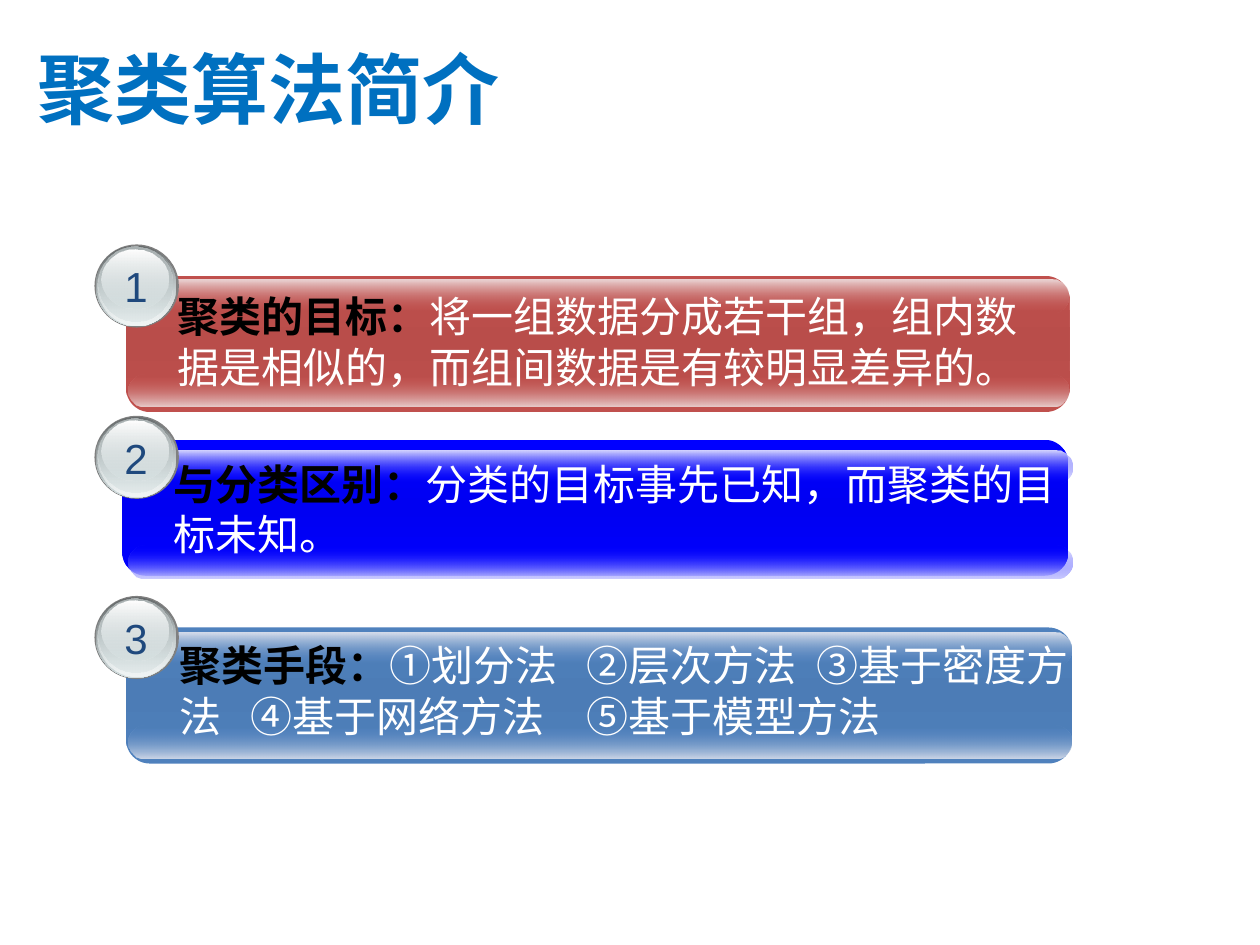
"""Build the slide that introduces clustering algorithms."""
from lxml import etree
from pptx import Presentation
from pptx.dml.color import RGBColor
from pptx.enum.shapes import MSO_SHAPE
from pptx.enum.text import MSO_ANCHOR, PP_ALIGN
from pptx.oxml.ns import qn
from pptx.util import Inches, Pt

ROUNDED = MSO_SHAPE.ROUNDED_RECTANGLE
OVAL = MSO_SHAPE.OVAL
MIDDLE = MSO_ANCHOR.MIDDLE
TOP = MSO_ANCHOR.TOP
CENTER = PP_ALIGN.CENTER
LEFT = PP_ALIGN.LEFT

TITLE_BLUE = RGBColor(0x00, 0x70, 0xC0)
NAVY = RGBColor(0x1F, 0x49, 0x7D)
BLACK = RGBColor(0x00, 0x00, 0x00)
WHITE = RGBColor(0xFF, 0xFF, 0xFF)
GRAY = RGBColor(0x80, 0x80, 0x80)
SLATE = RGBColor(0x63, 0x68, 0x69)
STEEL = RGBColor(0xAA, 0xB2, 0xB3)
SILVER = RGBColor(0xD6, 0xE1, 0xE2)
PEARL = RGBColor(0xF1, 0xF5, 0xF5)
RED = RGBColor(0xC0, 0x50, 0x4D)
RED_DARK = RGBColor(0xB9, 0x4D, 0x4A)
RED_TOP = RGBColor(0xEC, 0xD9, 0xD9)
RED_BASE = RGBColor(0xE8, 0xCF, 0xCE)
BLUE = RGBColor(0x00, 0x00, 0xFF)
BLUE_DARK = RGBColor(0x00, 0x00, 0xF2)
BLUE_TOP = RGBColor(0xD6, 0xD6, 0xFF)
BLUE_BASE = RGBColor(0xCA, 0xCA, 0xFF)
SKY = RGBColor(0x4F, 0x81, 0xBD)
SKY_DARK = RGBColor(0x4C, 0x7C, 0xB6)
SKY_TOP = RGBColor(0xD9, 0xDF, 0xEC)
SKY_BASE = RGBColor(0xCF, 0xD7, 0xE7)

BADGE_LEFT = 0.75
BADGE_LAYERS = (
    (0, 0, 0.67, 0.66, [(GRAY, 100)]),
    (0.01, 0.01, 0.64, 0.64, [(SLATE, 100), (SILVER, 100)]),
    (0.02, 0.01, 0.62, 0.63, [(SILVER, 0), (PEARL, 100)]),
    (0.03, 0.02, 0.59, 0.59, [(STEEL, 100), (SILVER, 48)]),
    (0.06, 0.04, 0.53, 0.47, [(WHITE, 100), (SILVER, 38)]),
)

ROWS = (
    {"band": (1, 2.19, 7.49), "gloss": (7.46, 2.22, 2.97), "badge_top": 1.94,
     "colors": (RED, RED_DARK, RED_TOP, RED_BASE),
     "text": (1.31, 2.26, 7.05), "tabs": (), "heading": "聚类的目标：",
     "body": "将一组数据分成若干组，组内数据是相似的，而组间数据是有较明显差异的。"},
    {"band": (0.97, 3.49, 7.51), "gloss": (7.49, 3.58, 4.33), "badge_top": 3.3,
     "colors": (BLUE, BLUE_DARK, BLUE_TOP, BLUE_BASE),
     "text": (1.28, 3.59, 7.23), "tabs": (), "heading": "与分类区别：",
     "body": "分类的目标事先已知，而聚类的目标未知。"},
    {"band": (1, 4.98, 7.51), "gloss": (7.48, 5.02, 5.76), "badge_top": 4.73,
     "colors": (SKY, SKY_DARK, SKY_TOP, SKY_BASE),
     "text": (1.33, 5.03, 7.25), "tabs": (0.56, 3.23, 5.05), "heading": "聚类手段：",
     "body": "①划分法\t②层次方法\t③基于密度方法\t④基于网络方法\t⑤基于模型方法"},
)


def fill_gradient(shape, stops):
    """Fill a shape from top to bottom with evenly spaced (colour, opacity) stops."""
    shape.fill.gradient()
    shape.fill.gradient_angle = 270
    stop_list = shape.element.spPr.find(qn("a:gradFill")).find(qn("a:gsLst"))
    for old_stop in list(stop_list):
        stop_list.remove(old_stop)
    for index, (color, opacity) in enumerate(stops):
        position = 100000 * index // (len(stops) - 1)
        stop = etree.SubElement(stop_list, qn("a:gs"), pos=str(position))
        tint = etree.SubElement(stop, qn("a:srgbClr"), val=str(color))
        if opacity < 100:
            etree.SubElement(tint, qn("a:alpha"), val=str(opacity * 1000))


def add_layer(group, kind, place, stops, rounding=None):
    """Add one borderless shape with a solid or gradient fill to a group."""
    shape = group.shapes.add_shape(kind, *map(Inches, place))
    shape.shadow.inherit = False
    shape.line.fill.background()
    if rounding is not None:
        shape.adjustments[0] = rounding
    if len(stops) == 1:
        shape.fill.solid()
        shape.fill.fore_color.rgb = stops[0][0]
    else:
        fill_gradient(shape, stops)


def add_text(shapes, place, spans, size, font, align=LEFT, anchor=TOP, tabs=()):
    """Add a one-paragraph text box from (text, colour, bold) spans."""
    box = shapes.add_textbox(*map(Inches, place))
    frame = box.text_frame
    frame.word_wrap = True
    frame.vertical_anchor = anchor
    para = frame.paragraphs[0]
    para.alignment = align
    if tabs:
        tab_list = etree.SubElement(para._p.get_or_add_pPr(), qn("a:tabLst"))
        for stop in tabs:
            etree.SubElement(tab_list, qn("a:tab"), pos=str(Inches(stop)), algn="l")
    for text, color, bold in spans:
        span = para.add_run()
        span.text = text
        span.font.size = Pt(size)
        span.font.name = font
        span.font.bold = bold
        span.font.color.rgb = color


def add_band(page, row):
    """Add a rounded band with a gloss along its top and bottom edges."""
    left, top, width = row["band"]
    gloss_width, upper_top, lower_top = row["gloss"]
    base, dark, upper, lower = row["colors"]
    group = page.shapes.add_group_shape()
    add_layer(group, ROUNDED, (left, top, width, 1.08),
              [(base, 100), (dark, 100), (base, 100)], 0.175)
    add_layer(group, ROUNDED, (1.02, lower_top, gloss_width, 0.26),
              [(base, 0), (lower, 100)], 0.5)
    add_layer(group, ROUNDED, (1.02, upper_top, gloss_width, 0.26),
              [(upper, 100), (base, 0)], 0.5)


def add_badge(page, top, number):
    """Add a glossy round badge with its number."""
    group = page.shapes.add_group_shape()
    for shift_x, shift_y, width, height, stops in BADGE_LAYERS:
        place = (BADGE_LEFT + shift_x, top + shift_y, width, height)
        add_layer(group, OVAL, place, stops)
    add_text(group.shapes, (BADGE_LEFT + 0.12, top + 0.08, 0.42, 0.5),
             [(str(number), NAVY, False)], 24, "Arial", CENTER)


def main():
    """Build and save the deck."""
    deck = Presentation()
    deck.slide_width, deck.slide_height = Inches(10), Inches(7.5)
    page = deck.slides.add_slide(deck.slide_layouts[6])
    add_text(page.shapes, (0.2, 0.07, 8.5, 1.25),
             [("聚类算法简介", TITLE_BLUE, True)], 44, "Calibri", anchor=MIDDLE)
    for number, row in enumerate(ROWS, 1):
        add_band(page, row)
        add_badge(page, row["badge_top"], number)
    for row in ROWS:
        spans = [(row["heading"], BLACK, True), (row["body"], WHITE, False)]
        add_text(page.shapes, (*row["text"], 0.91), spans, 24, "Arial", tabs=row["tabs"])
    deck.save("out.pptx")


if __name__ == "__main__":
    main()
